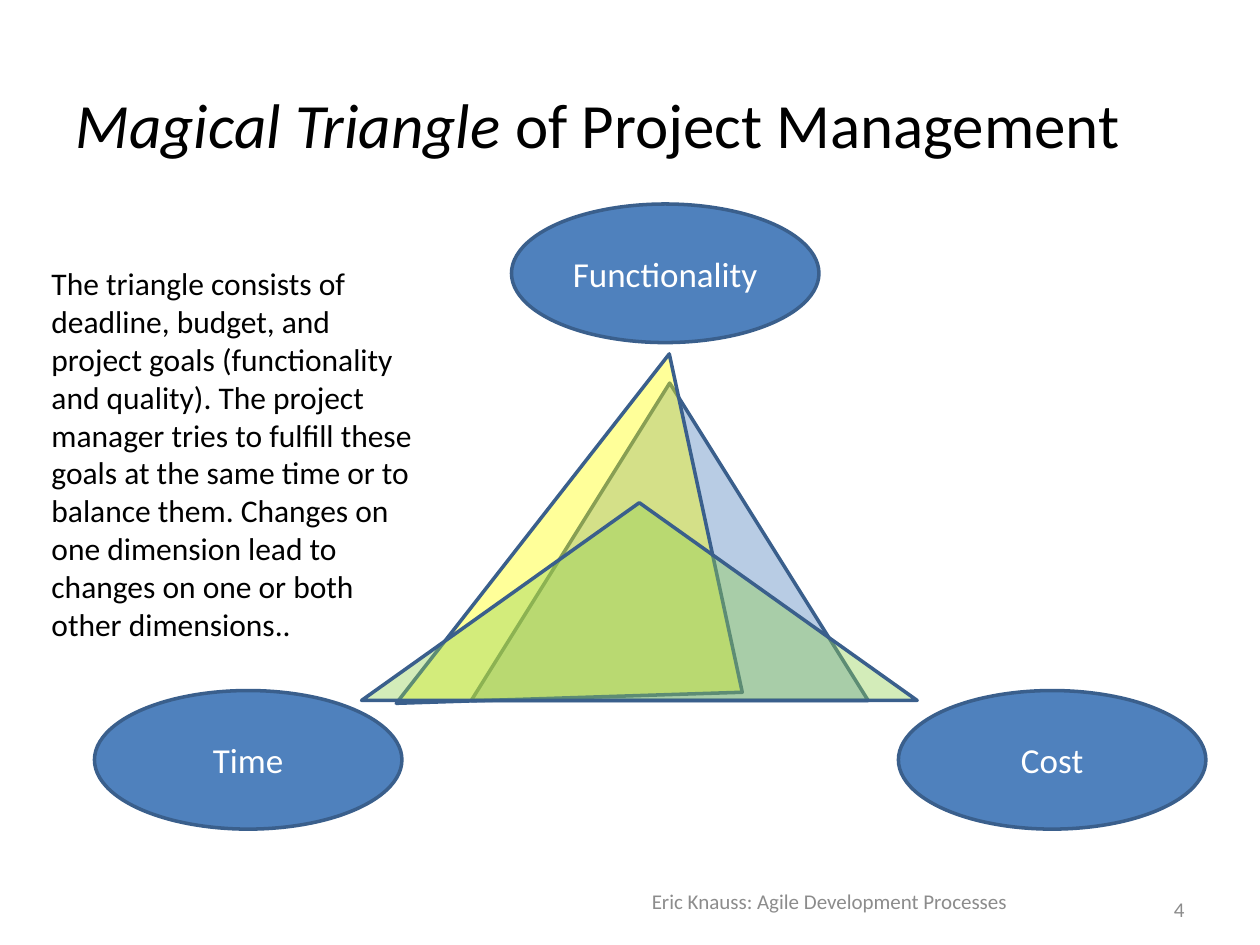
from dataclasses import dataclass

from lxml.etree import SubElement
from pptx import Presentation
from pptx.dml.color import RGBColor
from pptx.enum.shapes import MSO_SHAPE
from pptx.enum.text import MSO_ANCHOR, PP_ALIGN
from pptx.oxml.ns import qn
from pptx.util import Pt


@dataclass(frozen=True)
class Theme:
    font: str = "Calibri"
    ink: str = "000000"
    muted: str = "8C8C8C"
    light: str = "FFFFFF"
    blue: str = "4F81BD"
    yellow: str = "FFFF00"
    green: str = "92D050"
    outline: str = "3A5F8C"
    outline_width: float = 2
    opacity: int = 40
    title_size: int = 36
    label_size: int = 20
    body_size: int = 18
    footer_size: int = 12


class SlideBuilder:
    def __init__(self, page, theme):
        self.page = page
        self.theme = theme

    def fill_frame(self, frame, spans, size, color, align, anchor):
        frame.word_wrap = True
        frame.vertical_anchor = anchor
        para = frame.paragraphs[0]
        para.alignment = align
        para.font.name = self.theme.font
        para.font.size = Pt(size)
        para.font.color.rgb = RGBColor.from_string(color)
        for text, italic in spans:
            span = para.add_run()
            span.text = text
            if italic:
                span.font.italic = True

    def text(self, area, spans, size, color, align=PP_ALIGN.LEFT, anchor=MSO_ANCHOR.MIDDLE):
        box = self.page.shapes.add_textbox(*map(Pt, area))
        self.fill_frame(box.text_frame, spans, size, color, align, anchor)

    def shape(self, kind, area, color):
        shape = self.page.shapes.add_shape(kind, *map(Pt, area))
        shape.shadow.inherit = False
        shape.fill.solid()
        shape.fill.fore_color.rgb = RGBColor.from_string(color)
        shape.line.color.rgb = RGBColor.from_string(self.theme.outline)
        shape.line.width = Pt(self.theme.outline_width)
        return shape

    def ellipse(self, left, top, label):
        shape = self.shape(MSO_SHAPE.OVAL, (left, top, 175.7, 79.2), self.theme.blue)
        self.fill_frame(shape.text_frame, [(label, False)], self.theme.label_size,
                        self.theme.light, PP_ALIGN.CENTER, MSO_ANCHOR.MIDDLE)

    def triangle(self, area, color, rotation=0):
        shape = self.shape(MSO_SHAPE.ISOSCELES_TRIANGLE, area, color)
        shape.rotation = rotation
        tint = shape.element.spPr.find(qn("a:solidFill"))[0]
        SubElement(tint, qn("a:alpha"), val=str(self.theme.opacity * 1000))


def main():
    theme = Theme()
    deck = Presentation()
    deck.slide_width, deck.slide_height = Pt(720), Pt(540)
    slide = SlideBuilder(deck.slides.add_slide(deck.slide_layouts[6]), theme)

    slide.text((36, 36.7, 648, 67.7),
               [("Magical Triangle", True), (" of Project Management", False)],
               theme.title_size, theme.ink)
    slide.text((360, 500.4, 228, 28.8), [("Eric Knauss: Agile Development Processes", False)],
               theme.footer_size, theme.muted, PP_ALIGN.CENTER)
    slide.text((601.2, 510.5, 82.8, 18), [("4", False)],
               theme.footer_size, theme.muted, PP_ALIGN.RIGHT)

    for left, top, label in (
        (292.3, 116.6, "Functionality"),
        (54, 394.6, "Time"),
        (513.4, 394.6, "Cost"),
    ):
        slide.ellipse(left, top, label)

    for area, color, rotation in (
        ((269.3, 218.9, 226.8, 181.4), theme.blue, 0),
        ((237.6, 272.9, 253.4, 151.9), theme.yellow, 128),
        ((206.6, 287.3, 317.5, 113), theme.green, 0),
    ):
        slide.triangle(area, color, rotation)

    slide.text((22.3, 147.6, 226.8, 225.4), [(
        "The triangle consists of deadline, budget, and project goals "
        "(functionality and quality). The project manager tries to fulfill these "
        "goals at the same time or to balance them. Changes on one dimension lead "
        "to changes on one or both other dimensions..", False)],
        theme.body_size, theme.ink, anchor=MSO_ANCHOR.TOP)

    deck.save("out.pptx")


if __name__ == "__main__":
    main()
